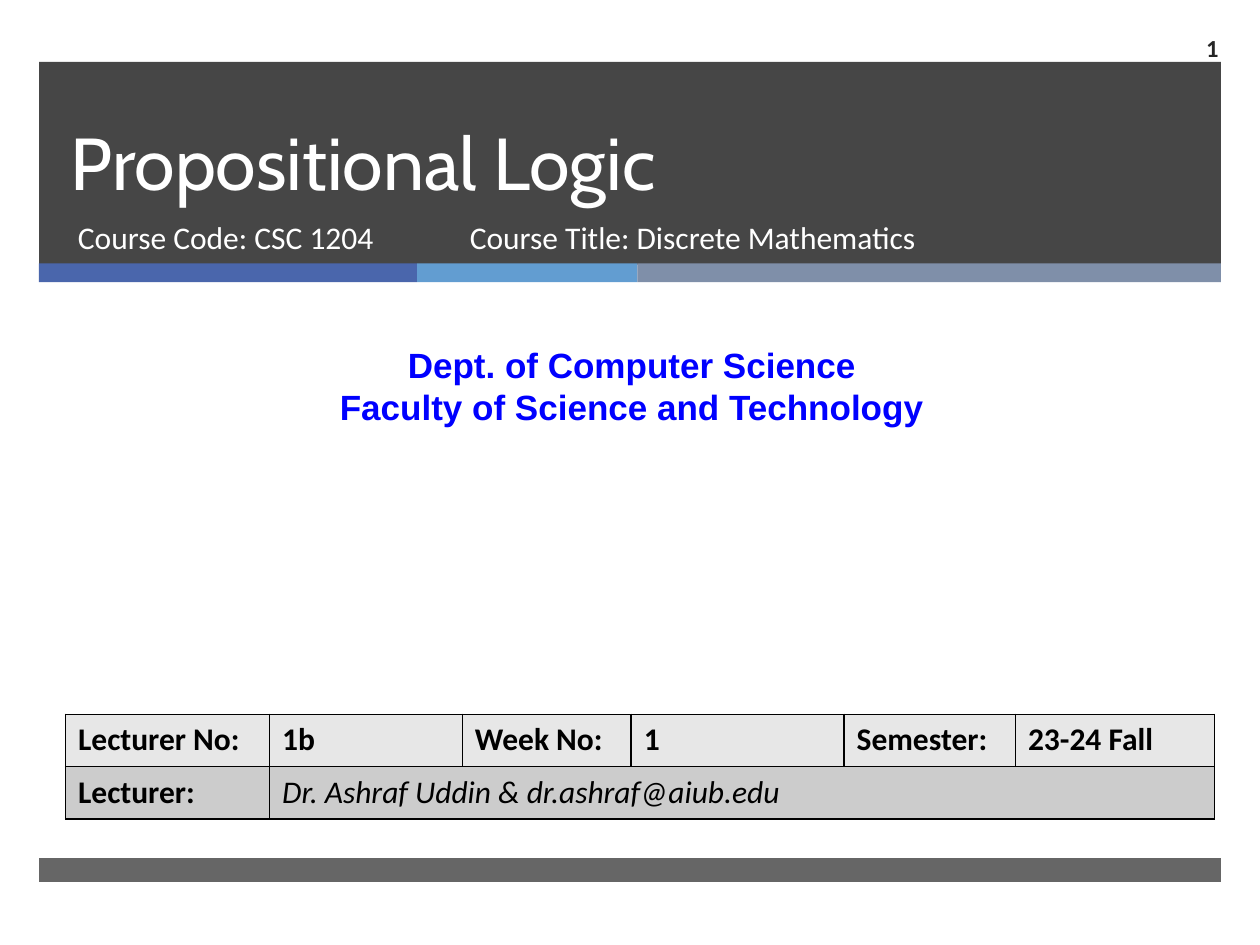
from pptx import Presentation
from pptx.dml.color import RGBColor
from pptx.enum.shapes import MSO_SHAPE
from pptx.enum.text import MSO_ANCHOR, MSO_AUTO_SIZE, PP_ALIGN
from pptx.oxml import parse_xml
from pptx.oxml.ns import nsdecls, qn
from pptx.util import Inches, Pt
from lxml.etree import SubElement

COLORS = {
    "dark": "262626",
    "blue": "4A66AC",
    "sky": "629DD1",
    "slate": "7F8FA9",
    "white": "FFFFFF",
    "dept": "0000FF",
    "black": "000000",
    "row_light": "E7E7E7",
    "row_dark": "CCCCCC",
}


def rgb(name):
    return RGBColor.from_string(COLORS[name])


def write(tf, text, size=18, font="Calibri", color="white", bold=False,
          italic=False, align=PP_ALIGN.LEFT, anchor=MSO_ANCHOR.TOP, spacing=None):
    tf.word_wrap = True
    tf.vertical_anchor = anchor
    for i, line in enumerate(text.split("\n")):
        p = tf.paragraphs[0] if i == 0 else tf.add_paragraph()
        p.alignment = align
        if spacing:
            p.line_spacing = Pt(spacing)
        r = p.add_run()
        r.text = line
        r.font.name = font
        r.font.size = Pt(size)
        r.font.bold = bold
        r.font.italic = italic
        r.font.color.rgb = rgb(color)


def add_text(s, x, y, w, h, text, **fmt):
    sp = s.shapes.add_textbox(Inches(x), Inches(y), Inches(w), Inches(h))
    write(sp.text_frame, text, **fmt)


def add_bar(s, x, y, w, h, color, opacity=100):
    sp = s.shapes.add_shape(MSO_SHAPE.RECTANGLE, Inches(x), Inches(y), Inches(w), Inches(h))
    sp.shadow.inherit = False
    sp.fill.solid()
    sp.fill.fore_color.rgb = rgb(color)
    sp.line.fill.background()
    if opacity < 100:
        clr = sp.element.spPr.find(qn("a:solidFill")).find(qn("a:srgbClr"))
        SubElement(clr, qn("a:alpha")).set("val", str(opacity * 1000))


def add_header(s, x, y, w, h):
    add_bar(s, x, y, w, h, "dark", 85)
    left = x
    for width, color in ((3, "blue"), (1.75, "sky"), (w - 4.75, "slate")):
        add_bar(s, left, y + h - 0.01, width, 0.15, color)
        left += width

    title = s.shapes.title
    title.element.getparent().append(title.element)
    title.left, title.top = Inches(x + 0.15), Inches(y)
    title.width, title.height = Inches(8.54), Inches(1.19)
    tf = title.text_frame
    tf.auto_size = MSO_AUTO_SIZE.NONE
    write(tf, "Propositional Logic", size=42, font="Cabin",
          anchor=MSO_ANCHOR.BOTTOM, spacing=46)

    add_text(s, x + 0.21, y + 1.19, 3.05, 0.53, "Course Code: CSC 1204")
    add_text(s, x + 3.32, y + 1.19, 4.55, 0.53, "Course Title: Discrete Mathematics")


def set_borders(cell, color="black", width=1):
    tcPr = cell._tc.get_or_add_tcPr()
    for i, side in enumerate(("lnL", "lnR", "lnT", "lnB")):
        tcPr.insert(i, parse_xml(
            f'<a:{side} {nsdecls("a")} w="{Pt(width)}"><a:solidFill>'
            f'<a:srgbClr val="{COLORS[color]}"/></a:solidFill></a:{side}>'))


def add_lecture_table(s, x, y, w, h):
    rows = (
        ("Lecturer No:", "1b", "Week No:", "1", "Semester:", "23-24 Fall"),
        ("Lecturer:", "Dr. Ashraf Uddin & dr.ashraf@aiub.edu"),
    )
    widths = (1.62, 1.53, 1.34, 1.69, 1.36, 1.58)
    table = s.shapes.add_table(len(rows), len(widths), Inches(x), Inches(y),
                               Inches(w), Inches(h)).table
    for col, width in zip(table.columns, widths):
        col.width = Inches(width)
    for i, (texts, fill) in enumerate(zip(rows, ("row_light", "row_dark"))):
        for j in range(len(widths)):
            cell = table.cell(i, j)
            cell.fill.solid()
            cell.fill.fore_color.rgb = rgb(fill)
            set_borders(cell)
            if j < len(texts):
                name = (i, j) == (1, 1)
                write(cell.text_frame, texts[j], color="black", bold=not name, italic=name)
    table.cell(1, 1).merge(table.cell(1, len(widths) - 1))


def main():
    prs = Presentation()
    prs.slide_width, prs.slide_height = Inches(10), Inches(7.5)
    s = prs.slides.add_slide(prs.slide_layouts[5])
    add_header(s, 0.31, 0.49, 9.38, 1.61)
    add_bar(s, 0.31, 6.81, 9.38, 0.19, "dark", 70)
    add_text(s, 0.08, 2.68, 9.87, 0.77,
             "Dept. of Computer Science\nFaculty of Science and Technology",
             size=20, font="Arial", color="dept", bold=True, align=PP_ALIGN.CENTER)
    add_lecture_table(s, 0.52, 5.67, 9.12, 0.83)
    add_text(s, 9.08, 0.18, 0.69, 0.39, "1", size=14, color="dark", bold=True,
             align=PP_ALIGN.RIGHT, anchor=MSO_ANCHOR.MIDDLE)
    prs.save("out.pptx")


if __name__ == "__main__":
    main()
